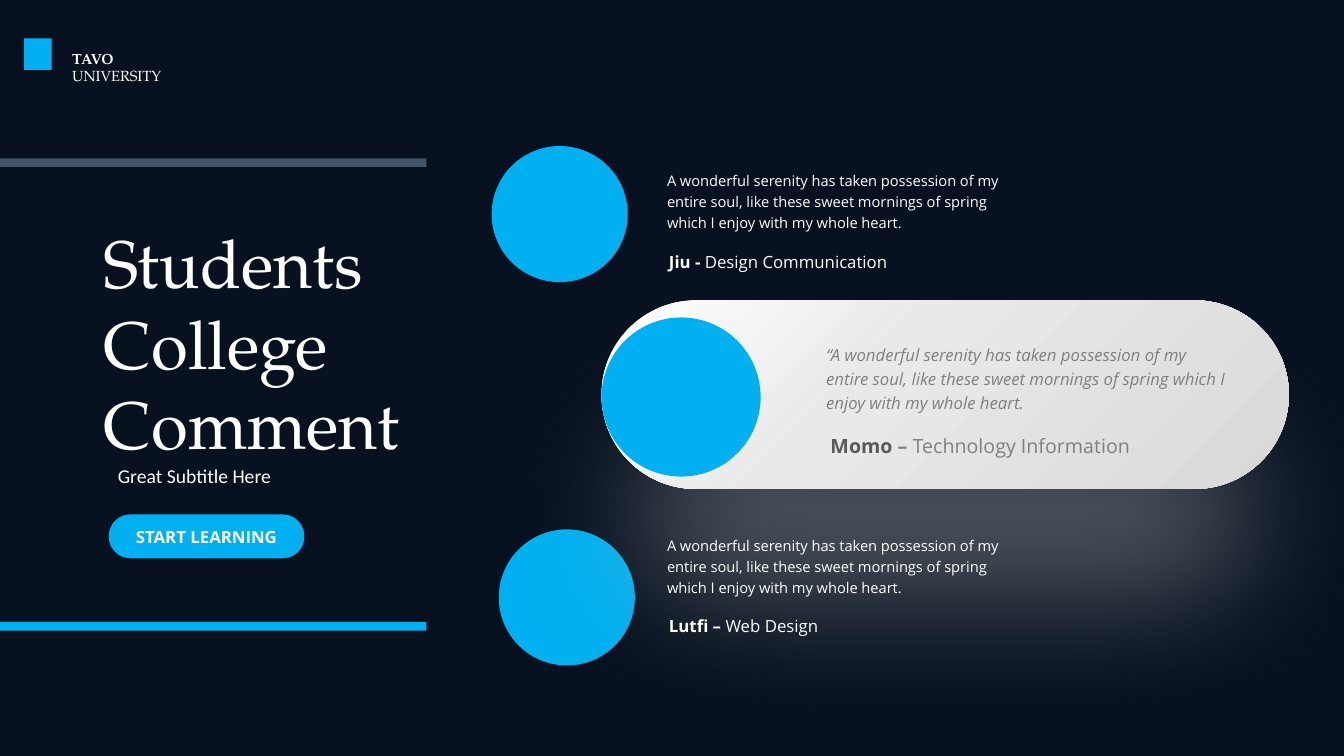
from lxml import etree
from pptx import Presentation
from pptx.dml.color import RGBColor
from pptx.enum.shapes import MSO_SHAPE as SHAPE
from pptx.enum.text import MSO_ANCHOR as ANCHOR, MSO_AUTO_SIZE as AUTO, PP_ALIGN as ALIGN
from pptx.oxml import parse_xml
from pptx.oxml.ns import nsdecls, qn
from pptx.util import Cm, Pt

# Content: runs are (text, format); boxes are left, top, width, height in cm
COLORS = {"night": "07111F", "blue": "00B0F0", "slate": "44546A", "white": "FFFFFF",
          "gray": "808080", "dark": "595959", "shadow": "BFBFBF"}
SERIF, SANS, BODY = "TeX Gyre Pagella", "Open Sans", "Calibri"
QUOTE = ("A wonderful serenity has taken possession of my entire soul, like these "
         "sweet mornings of spring which I enjoy with my whole heart.")
BOLD = {"bold": True}

BARS = [(3.99, "slate"), (15.67, "blue")]
CARD = (15.16, 7.57, 17.32, 4.75)
CARD_STOPS = [(0, "FFFFFF"), (40, "E9E9E9"), (100, "D9D9D9")]
SMALL = {"quote_format": {"size": 10.5}, "author_format": {"size": 12}}
COMMENTS = [
    {"circle": (12.39, 3.68, 3.43), "quote": QUOTE, "quote_box": (16.56, 4.11, 9.27, 1.83),
     "author": [("Jiu - ", BOLD), ("Design Communication", {})],
     "author_box": (16.61, 6.22, 7.04, 0.76), **SMALL},
    {"circle": (12.57, 13.34, 3.43), "quote": QUOTE, "quote_box": (16.56, 13.31, 9.27, 1.83),
     "author": [("Lutfi – ", BOLD), ("Web Design", {})],
     "author_box": (16.61, 15.39, 6.1, 0.76), **SMALL},
    {"circle": (15.16, 8, 4.01), "quote": "“" + QUOTE, "quote_box": (20.57, 8.46, 10.59, 2.06),
     "author": [("Momo ", {"bold": True, "color": "dark"}), ("– ", BOLD),
                ("Technology Information", {})],
     "author_box": (20.68, 10.8, 9.37, 0.86), "card": True,
     "quote_format": {"size": 12, "color": "gray", "italic": True},
     "author_format": {"size": 14, "color": "gray"}},
]

prs = Presentation()
prs.slide_width, prs.slide_height = Cm(33.87), Cm(19.05)
s = prs.slides.add_slide(prs.slide_layouts[5])
s.background.fill.solid()
s.background.fill.fore_color.rgb = RGBColor.from_string(COLORS["night"])


def write(tf, runs, size=12, font=SANS, color="white", bold=False, italic=False,
          spacing=1.0, align=ALIGN.LEFT):
    """Fill a text frame with one paragraph; a run may override the format."""
    tf.word_wrap = True
    p = tf.paragraphs[0]
    p.line_spacing, p.alignment = spacing, align
    for text, own in [(runs, {})] if isinstance(runs, str) else runs:
        r = p.add_run()
        r.text = text
        r.font.name, r.font.size = font, Pt(size)
        r.font.bold, r.font.italic = own.get("bold", bold), italic
        r.font.color.rgb = RGBColor.from_string(COLORS[own.get("color", color)])


def add_text(box, runs, **fmt):
    tf = s.shapes.add_textbox(*map(Cm, box)).text_frame
    write(tf, runs, **fmt)
    tf.auto_size = AUTO.SHAPE_TO_FIT_TEXT


def add_shape(kind, box, color):
    sp = s.shapes.add_shape(kind, *map(Cm, box))
    sp.shadow.inherit = False
    sp.fill.solid()
    sp.fill.fore_color.rgb = RGBColor.from_string(COLORS[color])
    sp.line.fill.background()
    if kind == SHAPE.ROUNDED_RECTANGLE:
        sp.adjustments[0] = 0.5
    return sp


def add_card():
    """Pill with a three-stop gradient and a soft shadow below."""
    sp = add_shape(SHAPE.ROUNDED_RECTANGLE, CARD, "white")
    stops = "".join(f'<a:gs pos="{pos * 1000}"><a:srgbClr val="{color}"/></a:gs>'
                    for pos, color in CARD_STOPS)
    props = sp.fill._xPr
    props.replace(props.find(qn("a:solidFill")), parse_xml(
        f'<a:gradFill {nsdecls("a")} rotWithShape="1"><a:gsLst>{stops}</a:gsLst>'
        '<a:lin ang="2700000" scaled="0"/></a:gradFill>'))
    shadow = etree.SubElement(
        props.find(qn("a:effectLst")), qn("a:outerShdw"), blurRad=str(Pt(100)),
        dist=str(Pt(90)), dir="5400000", sx="90000", sy="90000", algn="t", rotWithShape="0")
    tint = etree.SubElement(shadow, qn("a:srgbClr"), val=COLORS["shadow"])
    etree.SubElement(tint, qn("a:alpha"), val="40000")


# Circles, with the card under the featured one
for comment in COMMENTS:
    if comment.get("card"):
        add_card()
    left, top, size = comment["circle"]
    add_shape(SHAPE.OVAL, (left, top, size, size), "blue")

# Title panel
for top, color in BARS:
    add_shape(SHAPE.RECTANGLE, (0, top, 10.75, 0.22), color)
title = s.shapes.title
title.left, title.top, title.width, title.height = map(Cm, (2.36, 5.16, 10.19, 6.93))
write(title.text_frame, "Students College Comment", size=48, font=SERIF)
title.text_frame.vertical_anchor = ANCHOR.MIDDLE
title.text_frame.auto_size = AUTO.NONE
add_text((2.72, 11.56, 9.19, 0.86), "Great Subtitle Here", size=14, font=BODY)

# Button
button = add_shape(SHAPE.ROUNDED_RECTANGLE, (2.74, 12.96, 4.93, 1.11), "blue")
write(button.text_frame, "START LEARNING", bold=True, align=ALIGN.CENTER)
button.text_frame.vertical_anchor = ANCHOR.MIDDLE

# University name and emblem
add_shape(SHAPE.RECTANGLE, (0.61, 0.97, 0.69, 0.79), "blue")
add_text((1.57, 1.12, 3.2, 0.71), [("TAVO ", BOLD), ("UNIVERSITY", {})], size=10.5, font=SERIF)

# Comments
for comment in COMMENTS:
    add_text(comment["quote_box"], comment["quote"], spacing=1.2, **comment["quote_format"])
    add_text(comment["author_box"], comment["author"], **comment["author_format"])

prs.save("out.pptx")
